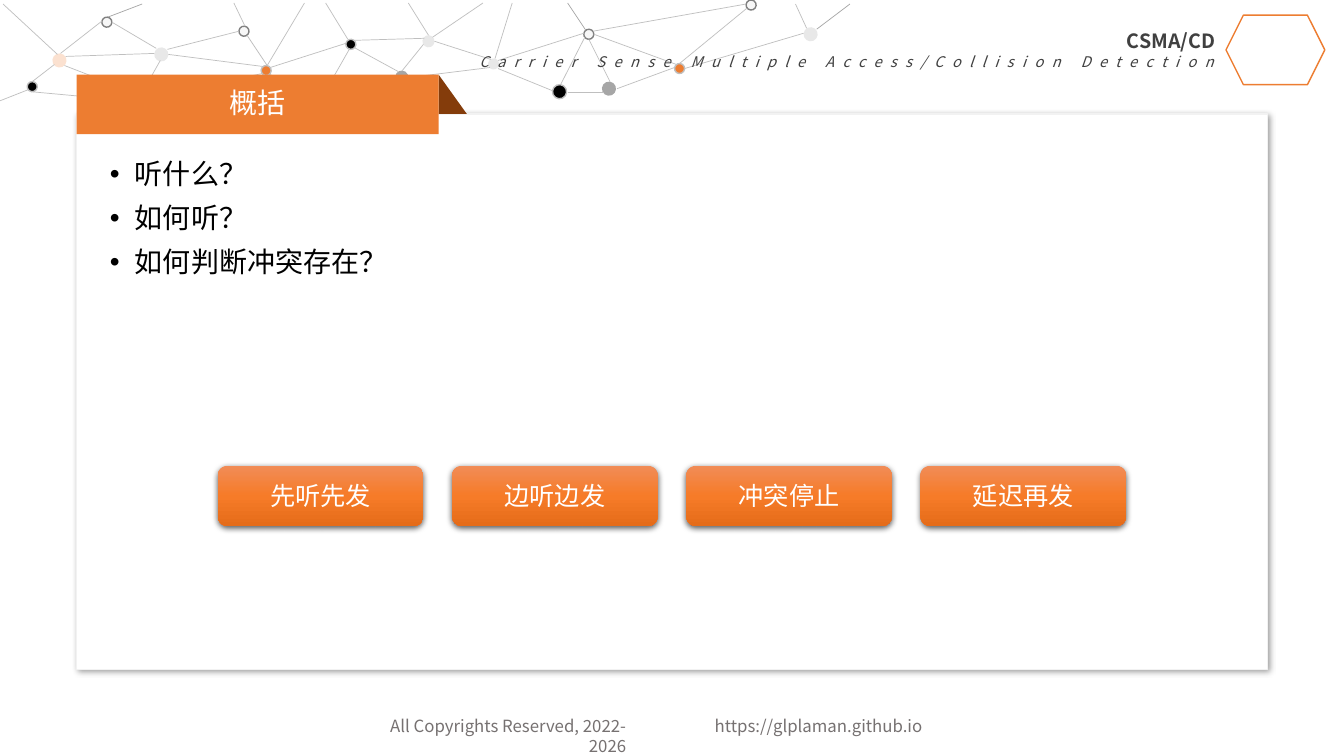
from pptx import Presentation
from pptx.dml.color import RGBColor
from pptx.enum.shapes import MSO_CONNECTOR, MSO_SHAPE
from pptx.enum.text import MSO_ANCHOR, PP_ALIGN
from pptx.oxml.ns import qn
from pptx.util import Inches, Pt
from lxml import etree

RECTANGLE, ROUNDED = MSO_SHAPE.RECTANGLE, MSO_SHAPE.ROUNDED_RECTANGLE
TRIANGLE, ELLIPSE, HEXAGON = MSO_SHAPE.RIGHT_TRIANGLE, MSO_SHAPE.OVAL, MSO_SHAPE.HEXAGON
STRAIGHT = MSO_CONNECTOR.STRAIGHT
CENTER, RIGHT, JUSTIFY = PP_ALIGN.CENTER, PP_ALIGN.RIGHT, PP_ALIGN.JUSTIFY
MIDDLE, TOP = MSO_ANCHOR.MIDDLE, MSO_ANCHOR.TOP
FONT = "Noto Sans CJK SC"
ORANGE, WHITE, BLACK, DARK, GREY = "ED7D31", "FFFFFF", "000000", "404040", "767171"

# fill, opacity in percent, outline
DOT_STYLES = {
    "orange": (ORANGE, 100, "BFBFBF"),
    "black": (BLACK, 100, "BFBFBF"),
    "grey": ("A6A6A6", 100, None),
    "pale": ("A6A6A6", 25, None),
    "peach": ("F8CBAD", 57, None),
    "ring": ("F7F7F7", 100, "808080"),
}
# left, top, diameter, style
DOTS = [
    (6.69, 0.63, 0.1, "orange"), (5.97, 0.81, 0.14, "grey"), (3.92, 0.7, 0.13, "grey"),
    (3.43, 0.39, 0.1, "black"), (2.59, 0.65, 0.1, "orange"), (0.27, 0.81, 0.1, "black"),
    (0.52, 0.53, 0.14, "peach"), (1.53, 0.47, 0.14, "pale"), (5.48, 0.84, 0.14, "black"),
    (7.4, 0, 0.1, "ring"), (5.79, 0.29, 0.1, "ring"), (2.37, 0.26, 0.1, "ring"),
    (1.01, 0.17, 0.1, "ring"), (4.19, 0.35, 0.12, "pale"), (4.84, 0.58, 0.11, "pale"),
    (7.97, 0.27, 0.14, "pale"),
]
# start x, start y, end x, end y
LINKS = [
    (6.79, 0.68, 7.97, 0.33), (6.69, 0.67, 6.12, 0.88), (7.41, 0.08, 6.74, 0.63),
    (0.64, 0.65, 1.31, 0.91), (1.29, 1, 0.31, 0.91), (1.59, 0.6, 1.41, 0.92),
    (5.84, 0.39, 6.05, 0.81), (4.31, 0.41, 4.87, 0.59), (2.68, 0.67, 3.43, 0.43),
    (1.42, 0.97, 2.6, 0.73), (5.89, 0.34, 6.71, 0.64), (5.8, 0.37, 5.56, 0.84),
    (3.47, 0.48, 3.23, 0.9), (2.68, 0.74, 3.1, 0.94), (1.67, 0.54, 2.61, 0.66),
    (2.37, 0.31, 1.66, 0.49), (5.79, 0.33, 4.94, 0.6), (7.4, 0.04, 5.88, 0.31),
    (4.94, 0.68, 5.48, 0.9), (2.45, 0.35, 2.65, 0.65), (3.23, 0.03, 3.45, 0.39),
    (0.03, 0.04, 0.57, 0.54), (4.05, 0.77, 4.86, 0.67), (3.99, 0.7, 4.2, 0.44),
    (3.95, 0.71, 3.51, 0.47), (4.21, 0.38, 3.52, 0.4), (4.29, 0.37, 4.79, 0.03),
    (4.05, 0.03, 4.25, 0.35), (0.65, 0.56, 1.53, 0.53), (0.6, 0.53, 1.01, 0.21),
    (1.55, 0.48, 1.11, 0.22), (2.65, 0.65, 3.02, 0.03), (2.43, 0.26, 2.32, 0.03),
    (0.32, 0.81, 0.54, 0.64), (0.28, 0.89, 0, 1), (5.08, 0.03, 4.91, 0.58),
    (5.99, 0.92, 5.63, 0.92), (7.89, 0.04, 8, 0.28),
]
OUTER_LINKS = [(5.81, 0.3, 5.63, 0.03), (1.07, 0.17, 1.41, 0.04), (8.1, 0.29, 8.43, 0.04)]


def color(value):
    return RGBColor.from_string(value)


def add_node(parent, tag, **attributes):
    return etree.SubElement(parent, qn(tag), {name: str(value) for name, value in attributes.items()})


def add_color(parent, value, opacity=100):
    node = add_node(parent, "a:srgbClr", val=value)
    if opacity < 100:
        add_node(node, "a:alpha", val=opacity * 1000)


def add_box(shapes, kind, box, fill=None, line=None):
    shape = shapes.add_shape(kind, *map(Inches, box))
    shape.shadow.inherit = False
    if fill:
        shape.fill.solid()
        shape.fill.fore_color.rgb = color(fill)
    else:
        shape.fill.background()
    if line:
        shape.line.color.rgb = color(line)
        shape.line.width = Pt(1)
    else:
        shape.line.fill.background()
    return shape


def add_shadow(shape, opacity, blur, distance, angle):
    effects = shape.element.spPr.find(qn("a:effectLst"))
    shadow = add_node(effects, "a:outerShdw", blurRad=Pt(blur), dist=Pt(distance),
                      dir=angle * 60000, algn="ctr", rotWithShape=0)
    add_color(shadow, BLACK, opacity)


def write(shape, lines, align=None, anchor=TOP, bullet=None, spacing=None, before=0):
    """Fill a shape with (text, format values) lines, one paragraph each."""
    frame = shape.text_frame
    frame.word_wrap = True
    frame.vertical_anchor = anchor
    for index, (text, values) in enumerate(lines):
        para = frame.add_paragraph() if index else frame.paragraphs[0]
        para.alignment = align
        if spacing:
            para.line_spacing = spacing
        if index and before:
            para.space_before = Pt(before)
        if bullet:
            props = para._p.get_or_add_pPr()
            props.set("marL", str(Inches(0.25)))
            props.set("indent", str(-Inches(0.25)))
            add_node(props, "a:buFont", typeface="Arial")
            add_node(props, "a:buChar", char=bullet)
        span = para.add_run()
        span.text = text
        span.font.color.rgb = color(values["color"])
        for name in ("size", "bold", "italic"):
            if name in values:
                setattr(span.font, name, values[name])
        span.font.name = FONT
        run_props = span._r.get_or_add_rPr()
        add_node(run_props, "a:ea", typeface=FONT)
        if "tracking" in values:
            run_props.set("spc", str(values["tracking"] * 100))


def add_text(slide, box, lines, **layout):
    write(slide.shapes.add_textbox(*map(Inches, box)), lines, **layout)


def add_footer(slide, box):
    left, top, width, height = box
    style = {"size": Pt(12), "color": GREY}
    add_text(slide, (left + 3.58, top, width - 3.58, height), [("https://glplaman.github.io", style)])
    add_text(slide, (left, top, 2.9, height), [("All Copyrights Reserved, 2022-2026", style)], align=RIGHT)


def add_network(slide, left, top):
    """Draw the dots and thin links across the top of the page."""
    shapes = slide.shapes.add_group_shape().shapes
    for x, y, size, style in DOTS:
        fill, opacity, line = DOT_STYLES[style]
        dot = add_box(shapes, ELLIPSE, (left + x, top + y, size, size), fill, line)
        dot.rotation = 6.2
        if opacity < 100:
            fill_color = dot.element.spPr.find(qn("a:solidFill"))[0]
            add_node(fill_color, "a:alpha", val=opacity * 1000)
    for links, shade in ((LINKS, "BFBFBF"), (OUTER_LINKS, "A5A5A5")):
        for x1, y1, x2, y2 in links:
            link = shapes.add_connector(STRAIGHT, Inches(left + x1), Inches(top + y1),
                                        Inches(left + x2), Inches(top + y2))
            link.line.color.rgb = color(shade)
            link.line.width = Pt(0.5)
            add_node(link.element.spPr, "a:effectLst")


def add_header(slide, box):
    left, top, width, height = box
    add_box(slide.shapes, HEXAGON, (left + width - 0.98, top, 0.98, 0.69), line=ORANGE)
    lines = [
        ("CSMA/CD", {"size": Pt(14), "bold": True, "color": DARK}),
        ("Carrier Sense Multiple Access/Collision Detection",
         {"size": Pt(10.5), "italic": True, "color": DARK, "tracking": 6}),
    ]
    add_text(slide, (left, top + 0.09, width - 0.99, 0.51), lines, align=RIGHT)


def add_panel(slide, box, title, questions):
    """Place the white panel, its folded title tab and the bullet list."""
    left, top, width, height = box
    panel = add_box(slide.shapes, RECTANGLE, box, WHITE, "F2F2F2")
    add_shadow(panel, 40, 4, 2, 45)
    add_box(slide.shapes, TRIANGLE, (left + 3.59, top - 0.39, 0.28, 0.39), "843C0B")
    tab = add_box(slide.shapes, RECTANGLE, (left, top - 0.39, 3.59, 0.59), ORANGE)
    write(tab, [(title, {"size": Pt(20), "color": WHITE})], align=CENTER, anchor=MIDDLE, spacing=0.9)
    style = {"size": Pt(20), "color": BLACK}
    add_text(slide, (left + 0.23, top + 0.41, width - 0.4, height - 0.52),
             [(question, style) for question in questions],
             align=JUSTIFY, bullet="•", spacing=0.9, before=10)


def add_steps(slide, box, steps):
    left, top, width, height = box
    step_width = 2.04
    pitch = (width - step_width) / (len(steps) - 1)
    for index, step in enumerate(steps):
        button = add_box(slide.shapes, ROUNDED, (left + index * pitch, top, step_width, height))
        button.fill.gradient()
        button.fill.gradient_angle = 270
        stops = button.element.spPr.find(".//" + qn("a:gsLst"))
        for stop in list(stops):
            stops.remove(stop)
        for percent, shade in ((0, "F18C57"), (50, "F67B28"), (100, "E56C19")):
            add_color(add_node(stops, "a:gs", pos=percent * 1000), shade)
        add_shadow(button, 63, 4.5, 1.5, 90)
        write(button, [(step, {"size": Pt(18), "color": WHITE})], align=CENTER, anchor=MIDDLE)


def main():
    deck = Presentation()
    deck.slide_width, deck.slide_height = Inches(13.33), Inches(7.5)
    slide = deck.slides.add_slide(deck.slide_layouts[6])
    add_footer(slide, (3.41, 7.05, 7.19, 0.3))
    add_network(slide, 0, 0)
    add_header(slide, (4.49, 0.15, 8.65, 0.69))
    add_panel(slide, (0.76, 1.13, 11.81, 5.51), "概括", ["听什么？", "如何听？", "如何判断冲突存在？"])
    add_steps(slide, (2.16, 4.62, 9.01, 0.6), ["先听先发", "边听边发", "冲突停止", "延迟再发"])
    deck.save("out.pptx")


if __name__ == "__main__":
    main()
